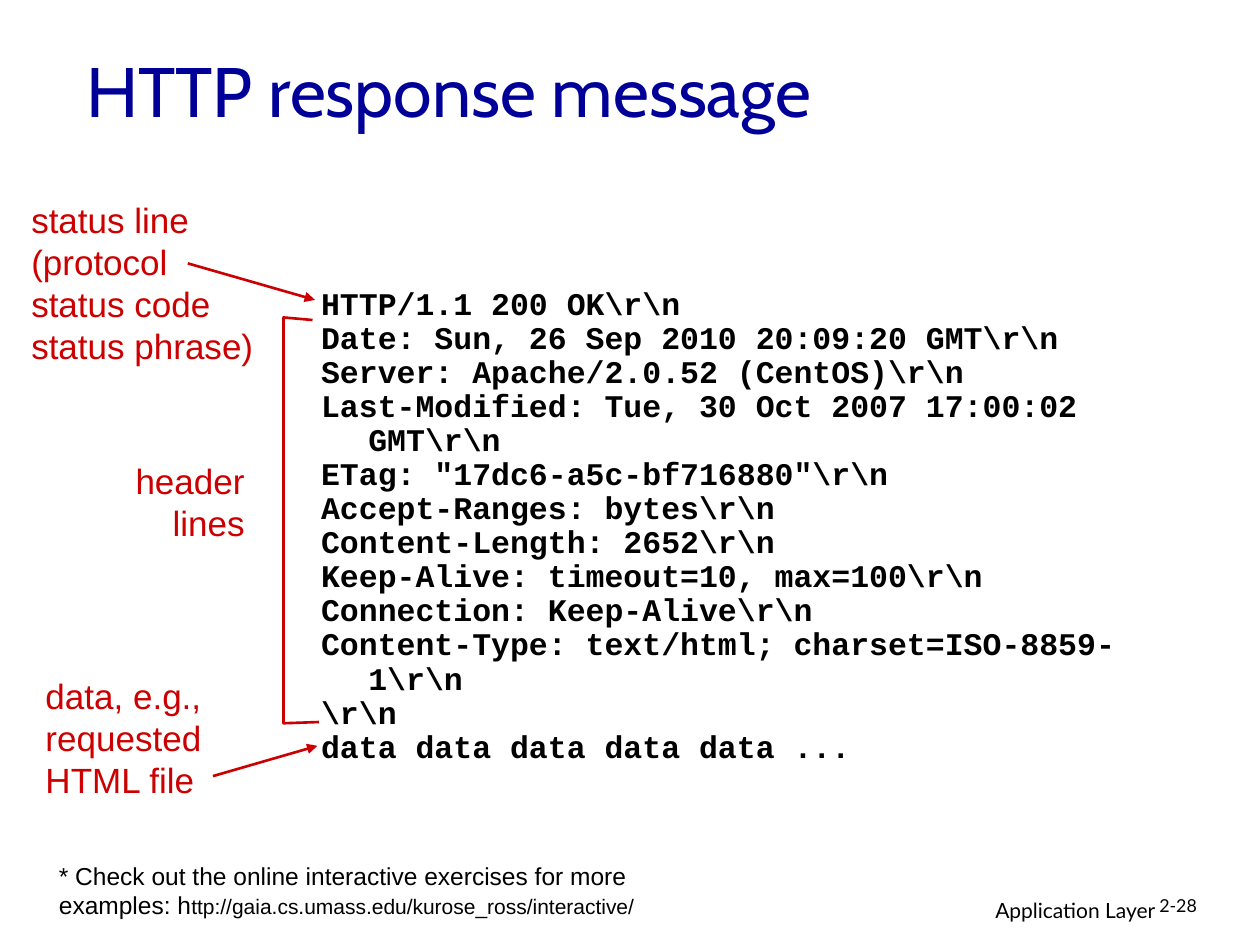
import dataclasses

import pptx
import pptx.dml.color
import pptx.enum.shapes
import pptx.enum.text
import pptx.oxml.ns
import pptx.util
import lxml.etree

Pt = pptx.util.Pt
Align = pptx.enum.text.PP_ALIGN
Anchor = pptx.enum.text.MSO_ANCHOR


@dataclasses.dataclass(frozen=True)
class Theme:
    title_color: str = "000099"
    note_color: str = "CC0000"
    text_color: str = "000000"
    title_font: str = "Cabin"
    body_font: str = "Arial"
    code_font: str = "Courier New"
    footer_font: str = "Lato"
    title_size: float = 40
    note_size: float = 20
    code_size: float = 18
    exercise_size: float = 14
    link_size: float = 12
    footer_size: float = 12
    number_size: float = 10.2
    line_width: float = 1.5


class SlideBuilder:
    def __init__(self, slide, theme):
        self.slide = slide
        self.theme = theme

    def text(self, box, paragraphs, font, color, align=Align.LEFT, anchor=Anchor.TOP,
             spacing=None, hanging=0, bold=False):
        frame = self.slide.shapes.add_textbox(*map(Pt, box)).text_frame
        frame.word_wrap = True
        frame.vertical_anchor = anchor
        for index, runs in enumerate(paragraphs):
            paragraph = frame.paragraphs[0] if index == 0 else frame.add_paragraph()
            paragraph.alignment = align
            if spacing:
                paragraph.line_spacing = spacing
            if hanging:
                properties = paragraph._p.get_or_add_pPr()
                properties.set("marL", str(Pt(hanging)))
                properties.set("indent", str(-Pt(hanging)))
            for words, size in runs:
                run = paragraph.add_run()
                run.text = words
                run.font.name = font
                run.font.size = Pt(size)
                run.font.bold = bold
                run.font.color.rgb = pptx.dml.color.RGBColor.from_string(color)

    def note(self, box, lines, align=Align.LEFT):
        self.text(box, [[(line, self.theme.note_size)] for line in lines],
                  self.theme.body_font, self.theme.note_color, align)

    def code(self, box, lines):
        self.text(box, [[(line, self.theme.code_size)] for line in lines],
                  self.theme.code_font, self.theme.text_color,
                  spacing=0.9, hanging=27, bold=True)

    def stroke(self, line):
        line.color.rgb = pptx.dml.color.RGBColor.from_string(self.theme.note_color)
        line.width = Pt(self.theme.line_width)

    def arrow(self, start, end):
        connector = self.slide.shapes.add_connector(
            pptx.enum.shapes.MSO_CONNECTOR.STRAIGHT, *map(Pt, start + end))
        self.stroke(connector.line)
        qn = pptx.oxml.ns.qn
        head = lxml.etree.SubElement(connector.line._get_or_add_ln(), qn("a:tailEnd"))
        head.set("type", "triangle")
        lxml.etree.SubElement(connector._element.spPr, qn("a:effectLst"))

    def bracket(self, points):
        start, *rest = [tuple(map(Pt, point)) for point in points]
        outline = self.slide.shapes.build_freeform(*start)
        outline.add_line_segments(rest, close=False)
        shape = outline.convert_to_shape()
        shape.shadow.inherit = False
        shape.fill.background()
        self.stroke(shape.line)


def main():
    deck = pptx.Presentation()
    deck.slide_width, deck.slide_height = Pt(720), Pt(540)
    theme = Theme()
    builder = SlideBuilder(deck.slides.add_slide(deck.slide_layouts[6]), theme)

    builder.text((439.2, 509.3, 228.2, 22.3), [[("Application Layer", theme.footer_size)]],
                 theme.footer_font, theme.text_color, Align.RIGHT)
    builder.text((655.4, 509, 53.3, 21.6), [[("2-28", theme.number_size)]],
                 theme.footer_font, theme.text_color, spacing=0.9)
    builder.text((42.2, 12.6, 612, 77), [[("HTTP response message", theme.title_size)]],
                 theme.title_font, theme.title_color, anchor=Anchor.MIDDLE)

    builder.note((10.8, 109.8, 150, 103.7),
                 ["status line", "(protocol", "status code", "status phrase)"])
    builder.arrow((107.3, 150.5), (180, 171.4))
    builder.bracket([(178.6, 182.9), (162, 181.4), (162, 413.3), (182.2, 412.6)])
    builder.note((56.9, 258.8, 90, 55.4), ["header", "lines"], Align.RIGHT)
    builder.arrow((121.7, 443.5), (181.4, 426.2))
    builder.note((18.9, 381.9, 120, 79.2), ["data, e.g.,", "requested", "HTML file"])

    builder.code((176.4, 161.3, 496.8, 279.4), [
        r"HTTP/1.1 200 OK\r\n",
        r"Date: Sun, 26 Sep 2010 20:09:20 GMT\r\n",
        r"Server: Apache/2.0.52 (CentOS)\r\n",
        r"Last-Modified: Tue, 30 Oct 2007 17:00:02 GMT\r\n",
        r'ETag: "17dc6-a5c-bf716880"\r\n',
        r"Accept-Ranges: bytes\r\n",
        r"Content-Length: 2652\r\n",
        r"Keep-Alive: timeout=10, max=100\r\n",
        r"Connection: Keep-Alive\r\n",
        r"Content-Type: text/html; charset=ISO-8859-1\r\n",
        r"\r\n",
        "data data data data data ...",
    ])
    builder.text((26.6, 488.2, 355, 41), [[
        ("* Check out the online interactive exercises for more examples: h",
         theme.exercise_size),
        ("ttp://gaia.cs.umass.edu/kurose_ross/interactive/", theme.link_size),
    ]], theme.body_font, theme.text_color)

    deck.save("out.pptx")


if __name__ == "__main__":
    main()
